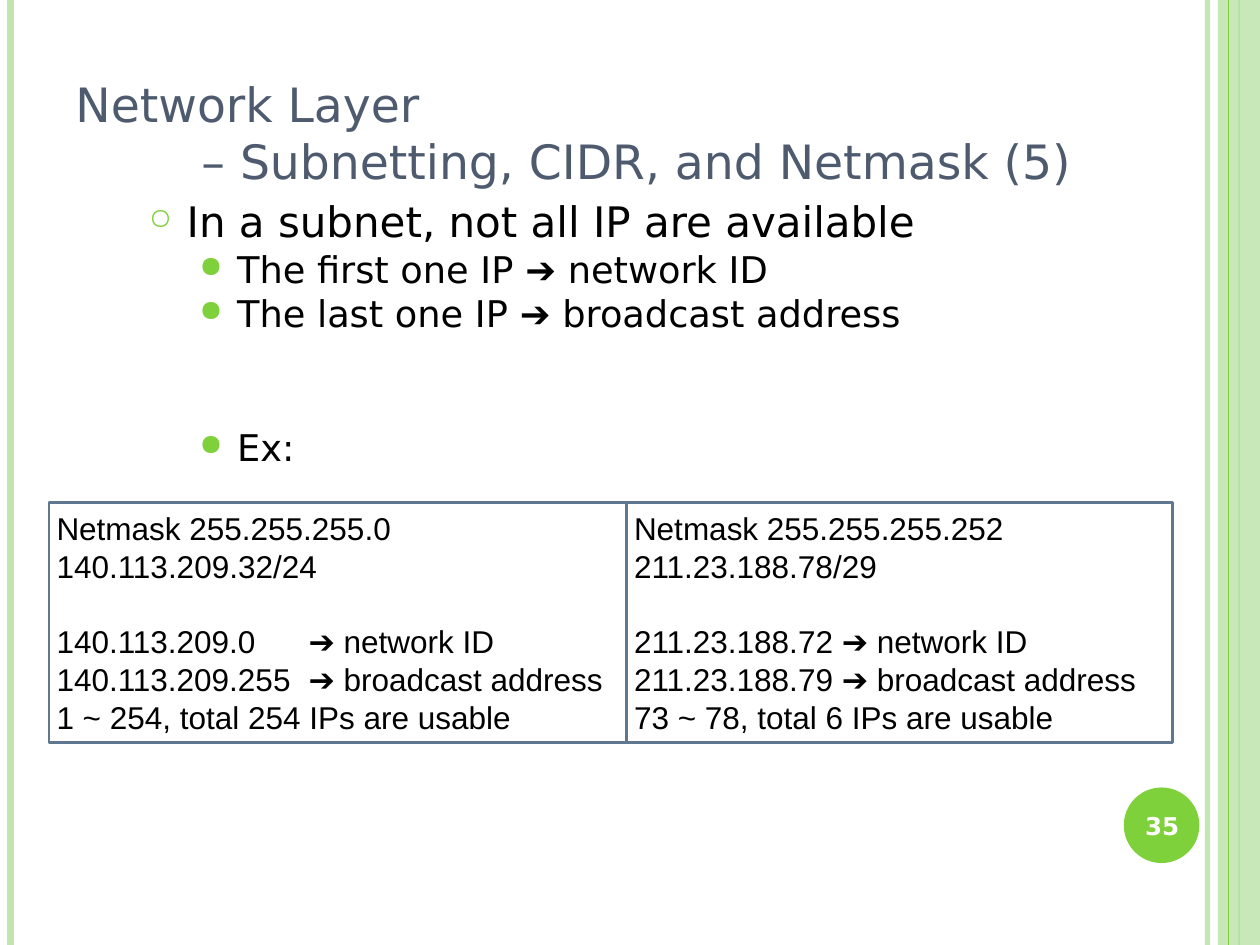
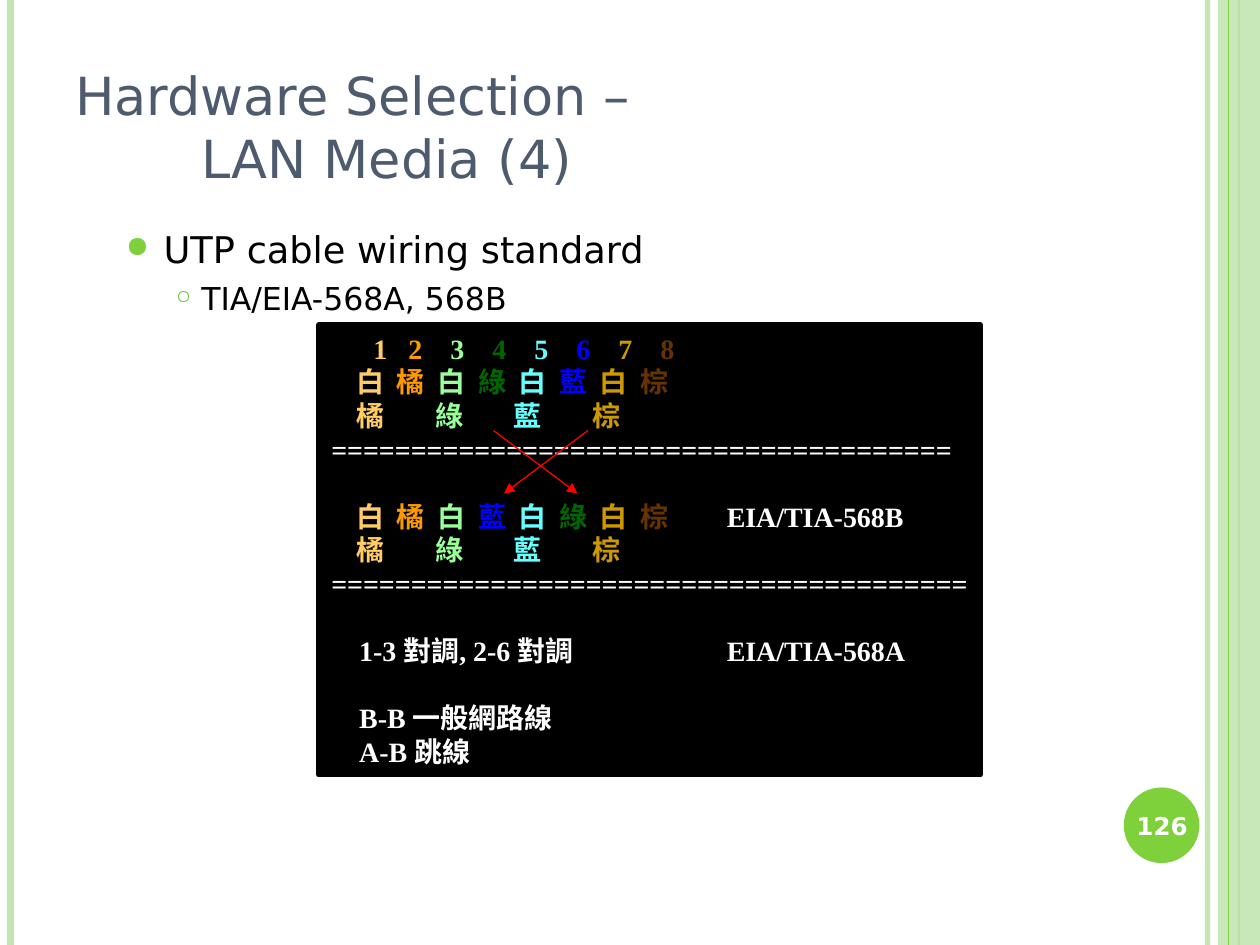
"""Build two networking slides: subnet addresses and UTP cable wiring."""
from lxml import etree
from pptx import Presentation
from pptx.dml.color import RGBColor
from pptx.enum.shapes import MSO_CONNECTOR, MSO_SHAPE
from pptx.enum.text import MSO_ANCHOR, PP_ALIGN
from pptx.oxml.ns import qn
from pptx.util import Pt

STRAIGHT = MSO_CONNECTOR.STRAIGHT
RECTANGLE, OVAL = MSO_SHAPE.RECTANGLE, MSO_SHAPE.OVAL
TOP, MIDDLE, BOTTOM = MSO_ANCHOR.TOP, MSO_ANCHOR.MIDDLE, MSO_ANCHOR.BOTTOM
LEFT, CENTER = PP_ALIGN.LEFT, PP_ALIGN.CENTER

SANS, ARIAL, SERIF = "DejaVu Sans", "Arial", "Times New Roman"
WIDTH, HEIGHT = 720, 540
COLOURS = {
    "green": "7FD13B", "pale green": "C0E5AF", "dark green": "6FB833",
    "title": "4E5B6F", "frame": "5F7791", "black": "000000",
    "white": "FFFFFF", "red": "FF0000",
    "white-orange": "FFCC66", "orange": "FF9900",
    "white-green": "99FF99", "wire green": "006600",
    "white-blue": "66FFFF", "blue": "0000FF",
    "white-brown": "CC9900", "brown": "663300",
}

BANDS = [(690, 3, "pale green", 93), (6, 4.5, "pale green", 100),
         (708, 1.5, "green", 100), (702, 0.75, "green", 100)]
EDGE_AFTER_BAND = 2

LEVELS = {
    0: dict(size=24, text_at=21.6, hang=21.6, before=6,
            bullet="○", scale=70, colour="green"),
    1: dict(size=21, text_at=50.4, hang=21.6, before=5.2,
            bullet="●", scale=80, colour="green"),
    2: dict(size=18, text_at=72, hang=14.4, before=4.5,
            bullet="○", scale=60, colour="dark green"),
}

SUBNET = {
    "title": "Network Layer\v\t– Subnetting, CIDR, and Netmask (5)",
    "title size": 27,
    "number": "35",
    "body box": (78, 114, 558, 378),
    "line spacing": 0.8,
    "bullets": [
        (0, ["In a subnet, not all IP are available"], 0),
        (1, ["The first one IP ", "➔", " network ID"], 0),
        (1, ["The last one IP ", "➔", " broadcast address"], 0),
        (1, ["Ex:"], 50.9),
    ],
}
NETMASKS = [
    (330, ["Netmask 255.255.255.0", "140.113.209.32/24",
           "140.113.209.0\t➔ network ID",
           "140.113.209.255\t➔ broadcast address",
           "1 ~ 254, total 254 IPs are usable"]),
    (312, ["Netmask 255.255.255.252", "211.23.188.78/29",
           "211.23.188.72 ➔ network ID",
           "211.23.188.79 ➔ broadcast address",
           "73 ~ 78, total 6 IPs are usable"]),
]
NETMASK_LEFT, NETMASK_TOP, NETMASK_HEIGHT, NETMASK_LINE = 28, 287.3, 137, 21.6
RANGE_ROW = 2

MEDIA = {
    "title": "Hardware Selection –\v\tLAN Media (4)",
    "title size": 30,
    "number": "126",
    "body box": (36, 126, 588, 384),
    "line spacing": 1.0,
    "bullets": [
        (1, ["UTP cable wiring standard"], 0),
        (2, ["TIA/EIA-568A, 568B"], 0),
    ],
}
WIRES = ["white-orange", "orange", "white-green", "wire green",
         "white-blue", "blue", "white-brown", "brown"]
SWAPPED = WIRES[:3] + ["blue", "white-blue", "wire green"] + WIRES[6:]
STRIPES = list(zip("橘綠藍棕", WIRES[::2]))
LABEL_STOP = (226, "l")
WIRE_STOPS = [(22.3 + 23.2 * n, "ctr") for n in range(8)]
STOPS = {
    "pins": [(28, "ctr")] + [(24 * n, "ctr") for n in range(2, 9)],
    "wires": WIRE_STOPS + [LABEL_STOP],
    "stripes": [(22.3 + 45 * n, "ctr") for n in range(4)],
    "notes": [(16, "l"), LABEL_STOP],
    "rule": [],
}
WIRING = [
    ("pins", list(zip("12345678", WIRES)), 0),
    ("wires", list(zip("白橘白綠白藍白棕", WIRES)), 0),
    ("stripes", STRIPES, 0),
    ("rule", [("=" * 39, "white")], 0),
    ("wires", list(zip("白橘白藍白綠白棕", SWAPPED)) + [("EIA/TIA-568B", "white")], 1),
    ("stripes", STRIPES, 0),
    ("rule", [("=" * 40, "white")], 0),
    ("notes", [("1-3 對調, 2-6 對調", "white"), ("EIA/TIA-568A", "white")], 1),
    ("notes", [("B-B 一般網路線", "white")], 1),
    ("notes", [("A-B 跳線", "white")], 0),
]
WIRING_BOX, WIRING_LINE = (182.2, 185.8, 378, 257), 19.2
CROSSINGS = [(282, 246, 330, 282), (336, 246, 288, 282)]


def rgb(name):
    return RGBColor.from_string(COLOURS[name])


def add_xml(parent, tag, **attributes):
    return etree.SubElement(parent, qn(tag), attributes)


def set_alpha(properties, percent):
    colour = next(properties.iter(qn("a:srgbClr")))
    add_xml(colour, "a:alpha", val=str(percent * 1000))


def add_line(slide, ends, width, colour):
    line = slide.shapes.add_connector(STRAIGHT, *map(Pt, ends))
    line.line.width = Pt(width)
    line.line.color.rgb = rgb(colour)
    add_xml(line._element.spPr, "a:effectLst")
    return line


def add_block(slide, kind, box, fill=None, outline=None, width=1.5):
    block = slide.shapes.add_shape(kind, *map(Pt, box))
    block.shadow.inherit = False
    if fill:
        block.fill.solid()
        block.fill.fore_color.rgb = rgb(fill)
    else:
        block.fill.background()
    if outline:
        block.line.color.rgb = rgb(outline)
        block.line.width = Pt(width)
    else:
        block.line.fill.background()
    return block


def set_frame(shape, anchor=TOP, left=7.2, right=7.2):
    frame = shape.text_frame
    frame.word_wrap = True
    frame.vertical_anchor = anchor
    frame.margin_left, frame.margin_right = Pt(left), Pt(right)
    frame.margin_top = frame.margin_bottom = Pt(3.6)
    return frame


def add_text(slide, box, anchor=TOP):
    return set_frame(slide.shapes.add_textbox(*map(Pt, box)), anchor)


def next_paragraph(frame, index):
    return frame.paragraphs[0] if index == 0 else frame.add_paragraph()


def set_tabs(paragraph, stops):
    if stops:
        tabs = add_xml(paragraph._p.get_or_add_pPr(), "a:tabLst")
        for position, alignment in stops:
            add_xml(tabs, "a:tab", pos=str(Pt(position)), algn=alignment)


def format_run(run, size, font, colour, bold=False):
    run.font.size, run.font.name, run.font.bold = Pt(size), font, bold
    run.font.color.rgb = rgb(colour)


def add_frame(slide):
    for index, (x, width, colour, alpha) in enumerate(BANDS):
        band = add_line(slide, (x, 0, x, HEIGHT), width, colour)
        if alpha < 100:
            set_alpha(band._element.spPr, alpha)
        if index == EDGE_AFTER_BAND:
            edge = add_block(slide, RECTANGLE, (696, 0, 24, HEIGHT), "pale green")
            set_alpha(edge._element.spPr, 87)
    add_block(slide, OVAL, (642.2, 450, 43.2, 43.2), "green")


def add_title(slide, text, size):
    title = add_text(slide, (36, 21.6, 588, 90), BOTTOM)
    title.text = text
    line = title.paragraphs[0]
    set_tabs(line, [(72, "l")])
    line.line_spacing = Pt(size * 1.2)
    for run in line.runs:
        format_run(run, size, SANS, "title")


def add_bullets(slide, content):
    body = add_text(slide, content["body box"])
    for index, (level, parts, gap) in enumerate(content["bullets"]):
        style = LEVELS[level]
        point = next_paragraph(body, index)
        point.level = level
        properties = point._p.get_or_add_pPr()
        properties.set("marL", str(Pt(style["text_at"])))
        properties.set("indent", str(-Pt(style["hang"])))
        bullet_colour = add_xml(properties, "a:buClr")
        add_xml(bullet_colour, "a:srgbClr", val=COLOURS[style["colour"]])
        add_xml(properties, "a:buSzPct", val=str(style["scale"] * 1000))
        add_xml(properties, "a:buChar", char=style["bullet"])
        point.line_spacing = content["line spacing"]
        if index:
            point.space_before = Pt(style["before"] + gap)
        for part in parts:
            run = point.add_run()
            run.text = part
            format_run(run, style["size"], ARIAL if part == "➔" else SANS, "black")


def add_number(slide, number):
    page = add_text(slide, (640, 451.4, 48.2, 41), MIDDLE)
    page.text = number
    page.paragraphs[0].alignment = CENTER
    format_run(page.paragraphs[0].runs[0], 14, SANS, "white", True)


def start_slide(deck, content):
    slide = deck.slides.add_slide(deck.slide_layouts[6])
    add_frame(slide)
    add_title(slide, content["title"], content["title size"])
    add_bullets(slide, content)
    return slide


def add_netmasks(slide):
    left = NETMASK_LEFT
    for width, rows in NETMASKS:
        example = add_block(slide, RECTANGLE,
                            (left, NETMASK_TOP, width, NETMASK_HEIGHT), outline="frame")
        frame = set_frame(example, left=4.3, right=1.4)
        for index, text in enumerate(rows):
            row = next_paragraph(frame, index)
            row.text = text
            row.alignment = LEFT
            set_tabs(row, [(144, "l")])
            row.line_spacing = Pt(NETMASK_LINE)
            if index == RANGE_ROW:
                row.space_before = Pt(NETMASK_LINE)
            format_run(row.runs[0], 18, ARIAL, "black")
        left += width


def add_wiring(slide):
    panel = add_block(slide, RECTANGLE, WIRING_BOX, "black", "black", 3)
    frame = set_frame(panel, right=1.4)
    for index, (kind, cells, skipped) in enumerate(WIRING):
        row = next_paragraph(frame, index)
        row.alignment = LEFT
        set_tabs(row, STOPS[kind])
        row.line_spacing = Pt(WIRING_LINE)
        if skipped:
            row.space_before = Pt(WIRING_LINE * skipped)
        for text, colour in cells:
            run = row.add_run()
            run.text = "\t" + text if STOPS[kind] else text
            format_run(run, 16, SERIF, colour, True)
    for ends in CROSSINGS:
        arrow = add_line(slide, ends, 0.75, "red")
        add_xml(arrow.line._get_or_add_ln(), "a:tailEnd", type="triangle")


def main():
    deck = Presentation()
    deck.slide_width, deck.slide_height = Pt(WIDTH), Pt(HEIGHT)
    for content, add_detail in ((SUBNET, add_netmasks), (MEDIA, add_wiring)):
        slide = start_slide(deck, content)
        add_detail(slide)
        add_number(slide, content["number"])
    deck.save("out.pptx")


if __name__ == "__main__":
    main()
